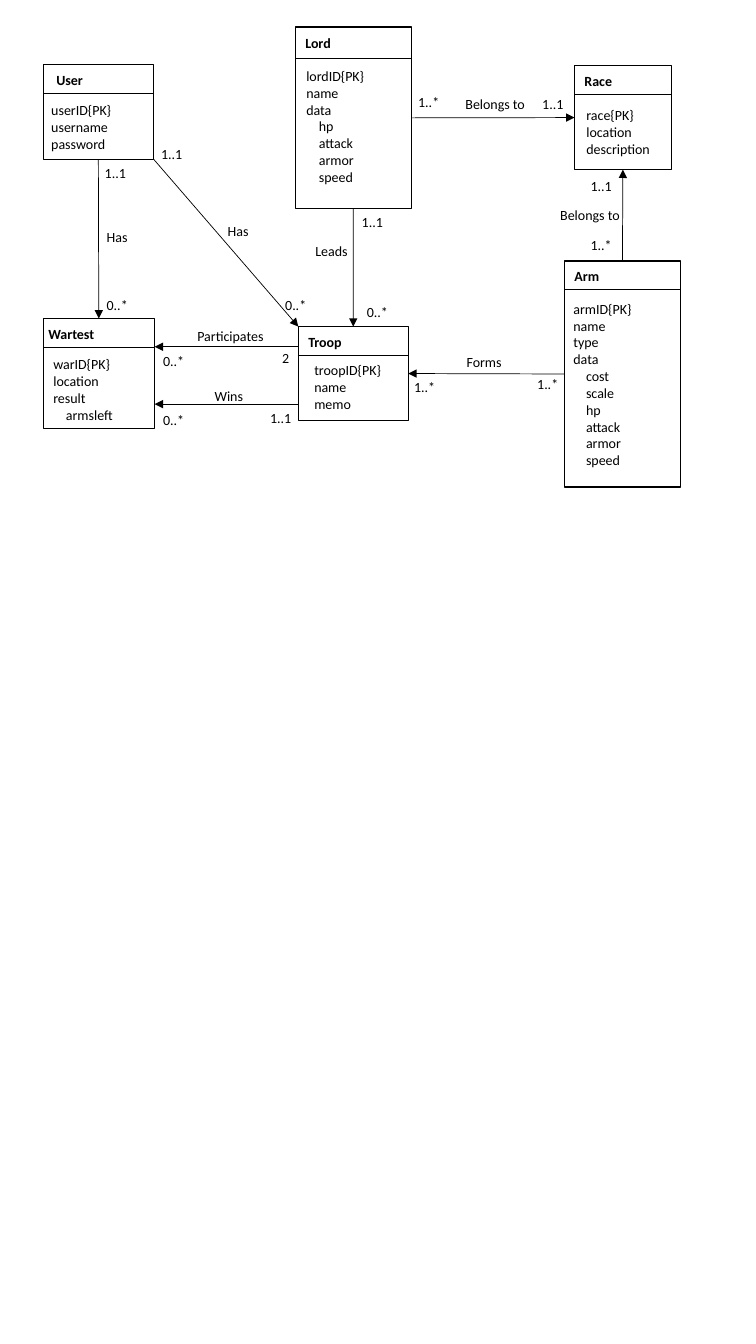
from pptx import Presentation
from pptx.dml.color import RGBColor
from pptx.enum.shapes import MSO_CONNECTOR as LINE, MSO_SHAPE as SHAPE
from pptx.oxml.ns import qn
from pptx.util import Pt
from lxml.etree import SubElement

INK, PAPER, FONT = "000000", "FFFFFF", "Calibri"
TOP, LEFT, BOTTOM, RIGHT = range(4)

deck = Presentation()
deck.slide_width, deck.slide_height = Pt(540), Pt(960)
slide = deck.slides.add_slide(deck.slide_layouts[6])
shapes = slide.shapes


def write(x, y, w, rows, bold=False, wrap=True):
    """Add a text box, one paragraph per row; a leading '>' indents a row."""
    box = shapes.add_textbox(Pt(x), Pt(y), Pt(w), Pt(7.2 + 12.2 * len(rows)))
    frame = box.text_frame
    frame.word_wrap = wrap
    for i, row in enumerate(rows):
        para = frame.add_paragraph() if i else frame.paragraphs[0]
        if row.startswith(">"):
            para._p.get_or_add_pPr().set("marL", str(Pt(9)))
        run = para.add_run()
        run.text = row.lstrip(">")
        font = run.font
        font.name, font.size, font.bold = FONT, Pt(10), bold
        font.color.rgb = RGBColor.from_string(INK)


def draw(x1, y1, x2, y2, arrow=True):
    """Add a thin straight line, with an arrowhead at its end if asked."""
    line = shapes.add_connector(LINE.STRAIGHT, Pt(x1), Pt(y1), Pt(x2), Pt(y2))
    line.line.width = Pt(0.5)
    line.line.color.rgb = RGBColor.from_string(INK)
    if arrow:
        SubElement(line.line._get_or_add_ln(), qn("a:tailEnd"), type="triangle")
    SubElement(line._element.spPr, qn("a:effectLst"))
    return line


# name: left, top, width, height, header height, title left, body left, body top, fields
tables = {
    "Troop": (213.1, 233.3, 78.5, 67, 20.9, 213.1, 217.4, 254.9,
              ["troopID{PK}", "name", "memo"]),
    "User": (31, 46.1, 78.5, 67.7, 20.3, 33.1, 29.5, 69.1,
             ["userID{PK}", "username", "password"]),
    "Lord": (211, 19.4, 82.8, 129.6, 22.3, 211, 211.7, 44.6,
             ["lordID{PK}", "name", "data", ">hp", ">attack", ">armor", ">speed"]),
    "Race": (410.4, 46.8, 69.1, 74.4, 20.9, 410.4, 411.8, 72.7,
             ["race{PK}", "location", "description"]),
    "Arm": (403.2, 186.5, 82.8, 161.3, 20.3, 403.2, 402.5, 211,
            ["armID{PK}", "name", "type", "data", ">cost", ">scale", ">hp",
             ">attack", ">armor", ">speed"]),
    "Wartest": (31, 227.5, 79.2, 78.5, 20.9, 27.4, 31, 250.6,
                ["warID{PK}", "location", "result", ">armsleft"]),
}
boxes = {}
for name, (x, y, w, h, head, title_x, body_x, body_y, fields) in tables.items():
    box = shapes.add_shape(SHAPE.RECTANGLE, Pt(x), Pt(y), Pt(w), Pt(h))
    box.shadow.inherit = False
    box.fill.solid()
    box.fill.fore_color.rgb = RGBColor.from_string(PAPER)
    box.line.color.rgb = RGBColor.from_string(INK)
    box.line.width = Pt(1)
    boxes[name] = box
    draw(x, y + head, x + w, y + head, arrow=False)
    write(title_x, y + 1.4, 49, [name], bold=True)
    write(body_x, body_y, 74, fields)

# Relations that join the middles of two sides
links = [
    ("User", BOTTOM, "Wartest", TOP),
    ("Lord", BOTTOM, "Troop", TOP),
    ("Lord", RIGHT, "Race", LEFT),
    ("Arm", TOP, "Race", BOTTOM),
    ("Arm", LEFT, "Troop", RIGHT),
]
for start, side, end, goal in links:
    line = draw(0, 0, 0, 0)
    line.begin_connect(boxes[start], side)
    line.end_connect(boxes[end], goal)

# Relations that meet a box elsewhere
draw(109.8, 113.8, 213.1, 233.3)
for y in (247.7, 288.7):
    draw(213.4, y, 110.5, y)

widths = {"Has": 29.5, "Leads": 38.2, "Participates": 62.6, "Forms": 40.3,
          "Belongs to": 57.6, "Wins": 35.3, "2": 19.4,
          "1..1": 30.2, "0..*": 29.5, "1..*": 29.5}
places = {
    "Has": [(155.5, 155.5), (69.1, 159.8)],
    "Leads": [(218.2, 169.9)],
    "Participates": [(133.9, 230.4)],
    "Forms": [(326.2, 249.1)],
    "Belongs to": [(325.4, 64.8), (393.1, 144)],
    "Wins": [(146.2, 273.6)],
    "2": [(194.4, 246.2)],
    "1..1": [(108, 100.1), (251.3, 149), (380.2, 64.8), (414.7, 123.1),
             (67.7, 113.8), (185.8, 288.7)],
    "0..*": [(196.6, 208.1), (254.9, 213.1), (109.4, 248.4), (69.1, 208.1),
             (109.4, 290.2)],
    "1..*": [(376.6, 265), (288.7, 267.1), (414.7, 165.6), (291.6, 63.4)],
}
for label, spots in places.items():
    for x, y in spots:
        write(x, y, widths[label], [label], wrap=False)

deck.save("out.pptx")
